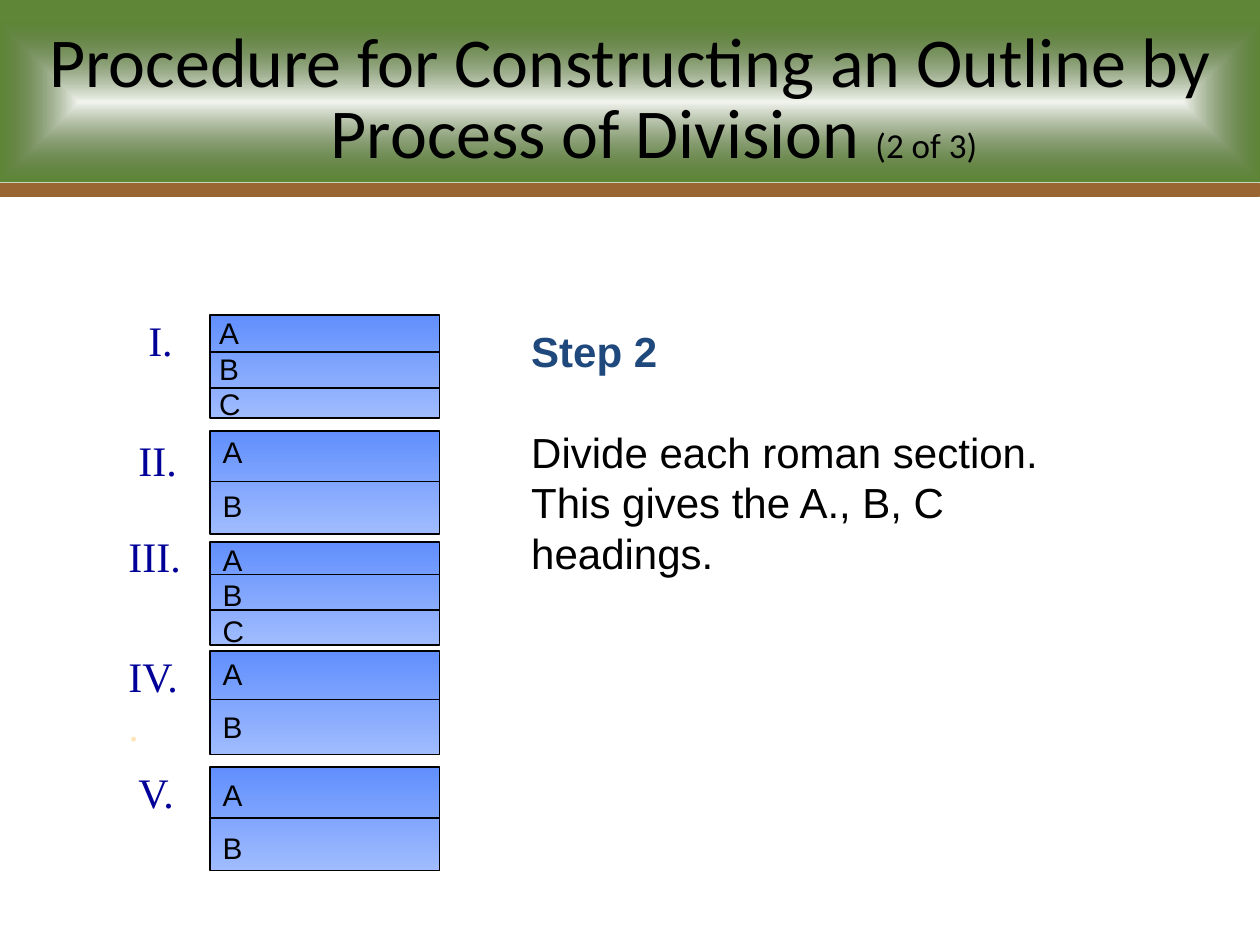
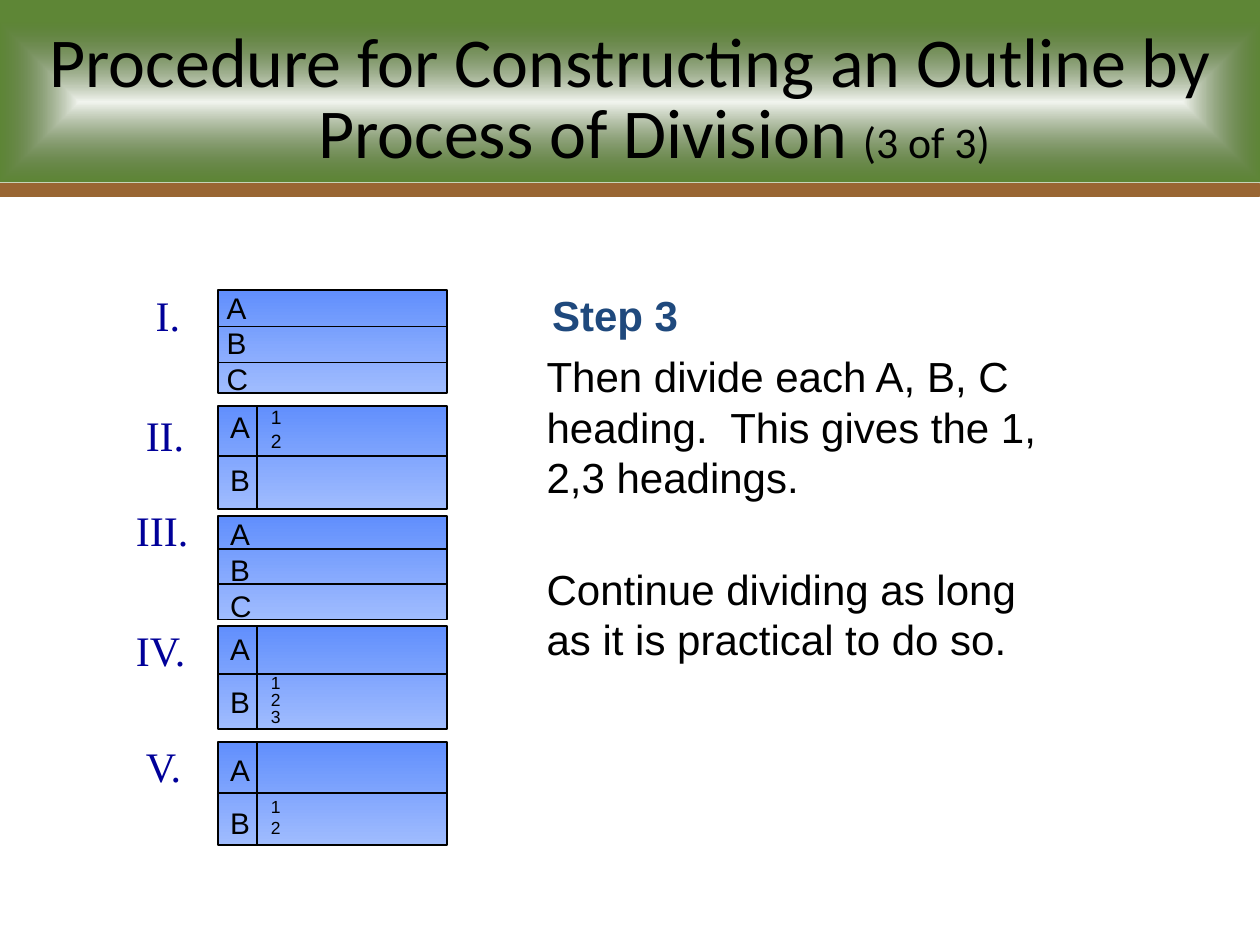
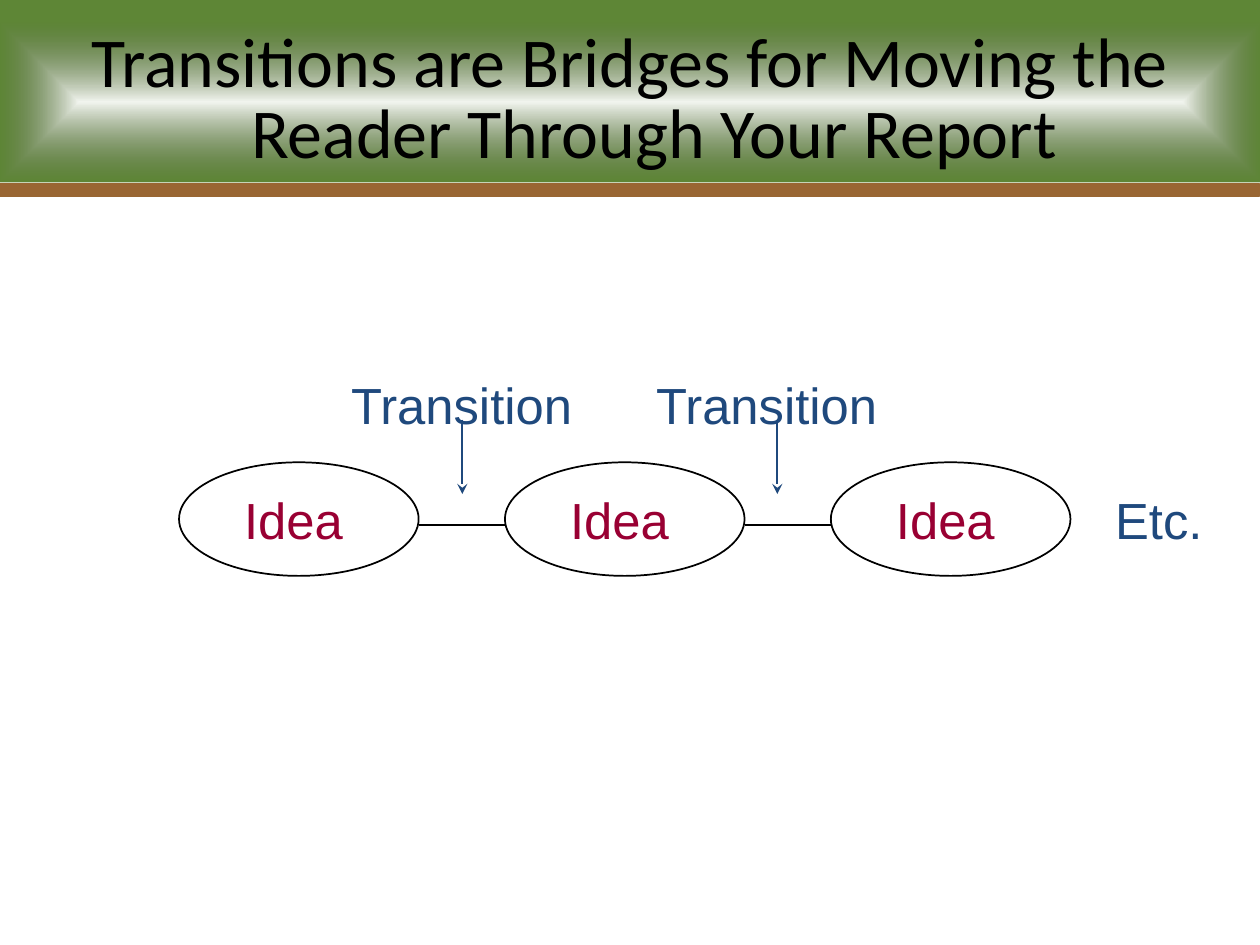
from collections import namedtuple

from lxml import etree
from pptx import Presentation
from pptx.dml.color import RGBColor
from pptx.enum.shapes import MSO_CONNECTOR as Link, MSO_SHAPE as Preset
from pptx.enum.text import MSO_ANCHOR as Anchor, MSO_AUTO_SIZE as AutoSize, PP_ALIGN as Align
from pptx.oxml.ns import qn
from pptx.util import Cm, Pt

BLACK = RGBColor(0x00, 0x00, 0x00)
WHITE = RGBColor(0xFF, 0xFF, 0xFF)
GREEN = RGBColor(0x33, 0x66, 0x00)
BROWN = RGBColor(0x99, 0x66, 0x33)
GREY = RGBColor(0x76, 0x76, 0x76)
NAVY = RGBColor(0x1F, 0x49, 0x7D)
NUMERAL_BLUE = RGBColor(0x00, 0x00, 0x99)
BOX_TOP = RGBColor(0x61, 0x8F, 0xFD)
BOX_BOTTOM = RGBColor(0xA0, 0xBC, 0xFE)
CRIMSON = RGBColor(0x99, 0x00, 0x33)
CREAM = RGBColor(0xFD, 0xE6, 0xBA)

SERIF = "Times New Roman"
PROCEDURE = "Procedure for Constructing an Outline by Process of Division "
BOX_WIDTH, BOX_HEIGHT = 4.62, 2.08
DETAIL_LEFT = 0.79

# Lengths in cm; tops and lefts are measured from the section's own box.
Section = namedtuple(
    "Section", "numeral top numeral_left numeral_top letters letters_left letters_top dividers")
SECTIONS = [
    Section("I.", 0, -1.5, -0.13, "ABC", -0.07, -0.13, [0.74, 1.47]),
    Section("II.", 2.34, -1.7, -0.05, "AB", 0, 0.1, [1.02]),
    Section("III.", 4.57, -1.9, -0.36, "ABC", 0, -0.13, [0.66, 1.37]),
    Section("IV.", 6.78, -1.9, -0.15, "AB", 0, 0.13, [0.97]),
    Section("V.", 9.12, -1.7, -0.15, "AB", 0, 0.23, [1.02]),
]
Detail = namedtuple("Detail", "digits top size spacing")
DETAILS = {
    "II.": Detail("12", -0.15, 11, 1),
    "IV.": Detail("123", 0.86, 10, 0.8),
    "V.": Detail("12", 0.94, 10, 1),
}


def write(frame, text, size=24, color=BLACK, font="Arial", bold=False, align=Align.LEFT,
          before=0, spacing=None, left=0, hanging=0, same_line=False):
    """Add text as a new paragraph, or as a further span of the last one."""
    para = frame.paragraphs[-1]
    if not same_line:
        if para.runs:
            para = frame.add_paragraph()
        para.alignment = align
        para.space_before = Pt(before)
        if spacing:
            para.line_spacing = spacing
        properties = para._p.get_or_add_pPr()
        properties.set("marL", str(Cm(left)))
        properties.set("indent", str(-Cm(hanging)))
    span = para.add_run()
    span.text = text
    span.font.size, span.font.name, span.font.bold = Pt(size), font, bold
    span.font.color.rgb = color


def add_text(page, left, top, width, height, lines=(), before=0, **style):
    box = page.shapes.add_textbox(Cm(left), Cm(top), Cm(width), Cm(height))
    box.text_frame.word_wrap = True
    for index, line in enumerate(lines):
        write(box.text_frame, line, before=before if index else 0, **style)
    return box.text_frame


def add_block(page, preset, left, top, width, height, fill=None, line=None, weight=1):
    block = page.shapes.add_shape(preset, Cm(left), Cm(top), Cm(width), Cm(height))
    block.shadow.inherit = False
    if fill is None:
        block.fill.background()
    else:
        block.fill.solid()
        block.fill.fore_color.rgb = fill
    if line is None:
        block.line.fill.background()
    else:
        block.line.color.rgb = line
        block.line.width = Pt(weight)
    return block


def add_line(page, x1, y1, x2, y2, color=BLACK, arrow=False):
    line = page.shapes.add_connector(Link.STRAIGHT, Cm(x1), Cm(y1), Cm(x2), Cm(y2))
    line.line.color.rgb = color
    line.line.width = Pt(1)
    properties = line._element.spPr
    if arrow:
        etree.SubElement(properties.find(qn("a:ln")), qn("a:tailEnd"), type="stealth")
    etree.SubElement(properties, qn("a:effectLst"))


def set_opacity(color_element, percent):
    etree.SubElement(color_element, qn("a:alpha"), val=str(percent * 1000))


def set_gradient(shape, start, end):
    """Fill from start at the top to end at the bottom."""
    shape.fill.gradient()
    shape.fill.gradient_angle = 270
    for stop, color in zip(shape.fill.gradient_stops, (start, end)):
        stop.color.rgb = color
    return shape._element.spPr.find(qn("a:gradFill"))


def set_glow(shape):
    """Fill with white that fades from the centre to transparent edges."""
    gradient = set_gradient(shape, WHITE, GREY)
    for color_element, percent in zip(gradient.iter(qn("a:srgbClr")), (92, 0)):
        set_opacity(color_element, percent)
    linear = gradient.find(qn("a:lin"))
    path = etree.Element(qn("a:path"), path="rect")
    etree.SubElement(path, qn("a:fillToRect"), l="50000", t="50000", r="50000", b="50000")
    gradient.replace(linear, path)


def add_bands(page):
    """Draw the header bands and move them to the page's layout."""
    stripe = add_block(page, Preset.RECTANGLE, -0.02, 3.73, 25.4, 0.2, BROWN, BROWN, 2)
    header = add_block(page, Preset.RECTANGLE, 0, 0, 25.4, 3.68, GREEN)
    set_opacity(next(header._element.spPr.iter(qn("a:srgbClr"))), 79)
    for index, band in enumerate((stripe, header), start=2):
        page.slide_layout.shapes._spTree.insert(index, band._element)


def add_page(deck, title, count=None, count_size=20):
    page = deck.slides.add_slide(deck.slide_layouts[5])
    heading = page.shapes.title
    heading.left, heading.top, heading.width, heading.height = Cm(0), Cm(0.46), Cm(25.4), Cm(3.18)
    set_glow(heading)
    frame = heading.text_frame
    frame.word_wrap = True
    frame.auto_size = AutoSize.NONE
    frame.vertical_anchor = Anchor.MIDDLE
    write(frame, title, size=40, font="Calibri", align=Align.CENTER, spacing=0.85,
          left=0.97, hanging=0.97)
    if count:
        write(frame, count, size=count_size, font="Calibri", same_line=True)
    return page


def add_section(page, section, left, top):
    add_text(page, left + section.numeral_left, top + section.numeral_top, 2.2, 1.27,
             [section.numeral], color=NUMERAL_BLUE, font=SERIF)
    box = add_block(page, Preset.RECTANGLE, left, top, BOX_WIDTH, BOX_HEIGHT, line=BLACK)
    set_gradient(box, BOX_TOP, BOX_BOTTOM)
    spread = {"before": 15.3, "spacing": 0.75} if len(section.letters) == 2 else {}
    add_text(page, left + section.letters_left, top + section.letters_top, 3.3, 2.1,
             section.letters, size=17, **spread)
    for divider in section.dividers:
        add_line(page, left, top + divider, left + BOX_WIDTH, top + divider)


def add_detail(page, detail, left, top):
    """Split a section's box by an upright line with digits beside it."""
    x = left + DETAIL_LEFT
    add_line(page, x, top, x, top + BOX_HEIGHT)
    frame = add_text(page, x, top + detail.top, 0.97, 1.25, detail.digits,
                     size=detail.size, spacing=detail.spacing)
    frame.margin_left = frame.margin_right = Cm(0.28)
    frame.margin_top = frame.margin_bottom = Cm(0.15)


def add_outline(page, left, top, details):
    for section in SECTIONS:
        section_top = top + section.top
        add_section(page, section, left, section_top)
        if section.numeral in details:
            add_detail(page, details[section.numeral], left, section_top)


def add_step_two(deck):
    page = add_page(deck, PROCEDURE, "(2 of 3)")
    add_bands(page)
    frame = add_text(page, 10.46, 6.43, 11.43, 11.43)
    write(frame, "Step 2", color=NAVY, bold=True)
    write(frame, "Divide each roman section.  This gives the A., B, C headings.", before=29)
    add_text(page, 2.34, 13.97, 1.07, 1.27, ["."], color=CREAM, font=SERIF)
    add_outline(page, 4.24, 6.35, {})


def add_step_three(deck):
    page = add_page(deck, PROCEDURE, "(3 of 3)", count_size=25)
    frame = add_text(page, 10.41, 5.72, 10.87, 10.77)
    write(frame, "Step 3", color=NAVY, bold=True, left=0.47)
    write(frame, "Then divide each A, B, C heading.  This gives the 1, 2,3 headings.",
          before=6, left=0.36)
    write(frame, "Continue dividing as long as it is practical to do so.", before=35, left=0.36)
    add_outline(page, 4.39, 5.84, DETAILS)


def add_transitions(deck):
    page = add_page(deck, "Transitions are Bridges for Moving the Reader Through Your Report")
    first, pitch, width = 3.61, 6.57, 4.83
    for index in range(3):
        left = first + index * pitch
        add_block(page, Preset.OVAL, left, 9.32, width, 2.29, line=BLACK)
        add_text(page, left + 1.04, 9.73, 2.54, 1.47, ["Idea"], size=29, color=CRIMSON,
                 align=Align.CENTER)
        if index:
            add_line(page, left - pitch + width, 10.59, left, 10.59)
    for label_left, arrow_x in ((6.35, 9.32), (12.5, 15.67)):
        add_text(page, label_left, 7.42, 5.92, 1.47, ["Transition"], size=29, color=NAVY,
                 align=Align.CENTER)
        add_line(page, arrow_x, 8.46, arrow_x, 9.96, NAVY, arrow=True)
    add_text(page, 22.23, 9.73, 2.97, 1.47, ["Etc."], size=29, color=NAVY)


def main():
    deck = Presentation()
    deck.slide_width, deck.slide_height = Cm(25.4), Cm(19.05)
    add_step_two(deck)
    add_step_three(deck)
    add_transitions(deck)
    deck.save("out.pptx")


if __name__ == "__main__":
    main()
